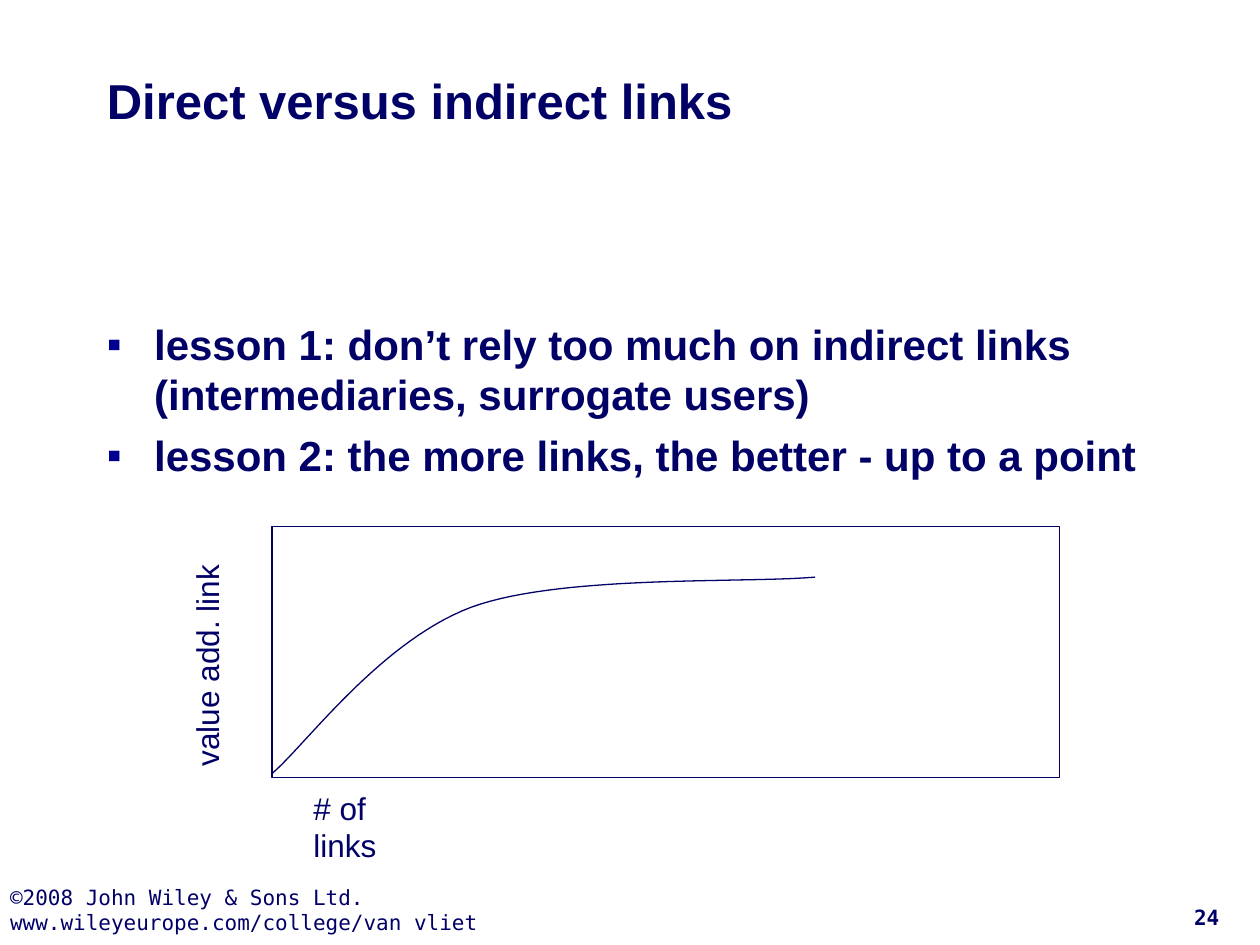
from pptx import Presentation
from pptx.dml.color import RGBColor
from pptx.enum.shapes import MSO_SHAPE
from pptx.enum.text import MSO_ANCHOR, PP_ALIGN
from pptx.oxml.ns import qn
from pptx.util import Pt
from lxml.etree import SubElement

NAVY = RGBColor(0x00, 0x00, 0x66)
BULLET_BLUE = RGBColor(0x00, 0x00, 0x90)
SANS = "Arial"
MONO = "DejaVu Sans Mono"

# Start point and Bezier segments (two controls and an end), in points
CURVE_START = (155.5, 442)
CURVE_SEGMENTS = [
    ((174.2, 426.2), (217.4, 366.5), (269.3, 347)),
    ((320.4, 328.3), (424.8, 333.4), (465.8, 329.8)),
]
STEPS = 30


def add_bullet(p):
    pPr = p._p.get_or_add_pPr()
    pPr.set("marL", str(Pt(27)))
    pPr.set("indent", str(-Pt(27)))
    color = SubElement(pPr, qn("a:buClr"))
    SubElement(color, qn("a:srgbClr"), val=str(BULLET_BLUE))
    SubElement(pPr, qn("a:buFont"), typeface=SANS)
    SubElement(pPr, qn("a:buChar"), char="▪")


def add_text(s, box, lines, size, font=SANS, bold=False, inset=(7.2, 3.6),
             anchor=MSO_ANCHOR.TOP, align=PP_ALIGN.LEFT, wrap=True,
             bullets=False):
    """Add a text box with one paragraph per line."""
    shape = s.shapes.add_textbox(*map(Pt, box))
    tf = shape.text_frame
    tf.word_wrap = wrap
    tf.vertical_anchor = anchor
    tf.margin_left = tf.margin_right = Pt(inset[0])
    tf.margin_top = tf.margin_bottom = Pt(inset[1])
    for i, line in enumerate(lines):
        p = tf.add_paragraph() if i else tf.paragraphs[0]
        p.alignment = align
        if bullets:
            p.space_before = Pt(6 if i else 0)
            add_bullet(p)
        r = p.add_run()
        r.text = line
        r.font.name = font
        r.font.size = Pt(size)
        r.font.bold = bold
        r.font.color.rgb = NAVY
    return shape


def outline(shape):
    shape.shadow.inherit = False
    shape.fill.background()
    shape.line.color.rgb = NAVY
    shape.line.width = Pt(0.75)


def add_frame(s, box):
    outline(s.shapes.add_shape(MSO_SHAPE.RECTANGLE, *map(Pt, box)))


def bezier_point(points, t):
    weights = ((1 - t) ** 3, 3 * t * (1 - t) ** 2, 3 * t * t * (1 - t), t ** 3)
    return tuple(sum(w * p[axis] for w, p in zip(weights, points))
                 for axis in (0, 1))


def add_curve(s, start, segments):
    builder = s.shapes.build_freeform(Pt(start[0]), Pt(start[1]))
    vertices = []
    for segment in segments:
        points = (start, *segment)
        vertices += [bezier_point(points, i / STEPS)
                     for i in range(1, STEPS + 1)]
        start = segment[-1]
    builder.add_line_segments([(Pt(x), Pt(y)) for x, y in vertices],
                              close=False)
    outline(builder.convert_to_shape())


def main():
    prs = Presentation()
    prs.slide_width, prs.slide_height = Pt(720), Pt(540)
    s = prs.slides.add_slide(prs.slide_layouts[6])

    add_text(s, (0, 499.7, 442, 40.3),
             ["©2008 John Wiley & Sons Ltd.",
              "www.wileyeurope.com/college/van vliet"],
             12, font=MONO, inset=(5.75, 5.75))
    add_text(s, (661, 514, 57, 17.3), ["24"], 12, font=MONO, bold=True,
             inset=(0, 0), anchor=MSO_ANCHOR.BOTTOM, align=PP_ALIGN.CENTER)
    add_text(s, (54, 12.2, 612, 90), ["Direct versus indirect links"], 28,
             bold=True, anchor=MSO_ANCHOR.MIDDLE)
    add_text(s, (54, 178.5, 618, 110),
             ["lesson 1: don’t rely too much on indirect links "
              "(intermediaries, surrogate users)",
              "lesson 2: the more links, the better - up to a point"],
             24, bold=True, bullets=True)

    add_frame(s, (155.5, 301, 450, 143.3))
    add_curve(s, CURVE_START, CURVE_SEGMENTS)
    add_text(s, (172, 447.1, 85, 28.8), ["# of links"], 18, wrap=False)
    y_label = add_text(s, (53.3, 365.8, 129.6, 28.8), ["value add. link"], 18,
                       wrap=False)
    y_label.rotation = 270

    prs.save("out.pptx")


if __name__ == "__main__":
    main()
